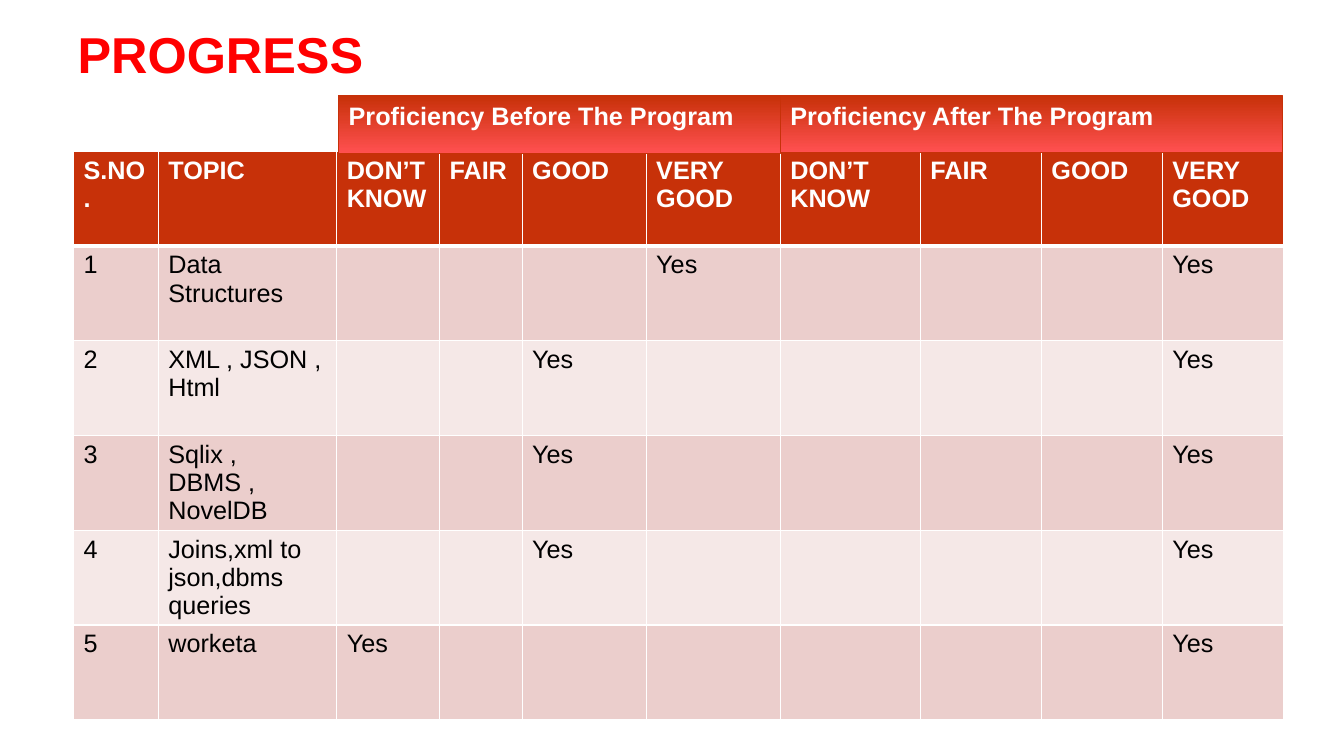
from pptx import Presentation
from pptx import util as u
from pptx.dml.color import RGBColor
from pptx.enum import shapes, text
from pptx.oxml import parse_xml
from pptx.oxml.ns import nsdecls

COLORS = {
    "title": "FF0000", "header": "C73109", "glow": "FF5050", "odd": "EBCECC",
    "even": "F5E8E7", "white": "FFFFFF", "black": "000000",
}
LEVELS = ["DON’T KNOW", "FAIR", "GOOD", "VERY GOOD"]
HEADINGS = ["S.NO.", "TOPIC"] + LEVELS * 2
COLUMN_WIDTHS = [0.84, 1.77, 1.02, 0.82, 1.23, 1.33, 1.39, 1.2, 1.2, 1.2]
ROW_HEIGHT = 0.94
# Topic, level before the program, level after the program
TOPICS = [
    ("Data Structures", "VERY GOOD", "VERY GOOD"),
    ("XML , JSON , Html", "GOOD", "VERY GOOD"),
    ("Sqlix , DBMS , NovelDB", "GOOD", "VERY GOOD"),
    ("Joins,xml to json,dbms queries", "GOOD", "VERY GOOD"),
    ("worketa", "DON’T KNOW", "VERY GOOD"),
]


def color(name):
    return RGBColor.from_string(COLORS[name])


def write(frame, words, size=18, ink="white", bold=False):
    paragraph = frame.paragraphs[0]
    paragraph.alignment = text.PP_ALIGN.LEFT
    run = paragraph.add_run()
    run.text = words
    run.font.name = "Arial"
    run.font.size = u.Pt(size)
    run.font.bold = bold
    run.font.color.rgb = color(ink)


def add_borders(cell, top=1, bottom=1):
    properties = cell._tc.get_or_add_tcPr()
    sides = [("L", 1), ("R", 1), ("T", top), ("B", bottom)]
    for position, (side, points) in enumerate(sides):
        line = parse_xml(
            f'<a:ln{side} {nsdecls("a")} w="{u.Pt(points)}"><a:solidFill>'
            f'<a:srgbClr val="{COLORS["white"]}"/></a:solidFill></a:ln{side}>')
        properties.insert(position, line)


def add_title(slide, left, top, width, height):
    title = slide.shapes.title
    title.left, title.top = u.Inches(left), u.Inches(top)
    title.width, title.height = u.Inches(width), u.Inches(height)
    title.text_frame.auto_size = text.MSO_AUTO_SIZE.NONE
    title.text_frame.vertical_anchor = text.MSO_ANCHOR.MIDDLE
    write(title.text_frame, "PROGRESS", size=36, ink="title", bold=True)


def add_progress_table(slide, left, top):
    rows = [HEADINGS]
    for number, (topic, before, after) in enumerate(TOPICS, 1):
        marks = ["Yes" if level == reached else ""
                 for reached in (before, after) for level in LEVELS]
        rows.append([str(number), topic] + marks)

    table = slide.shapes.add_table(
        len(rows), len(HEADINGS), u.Inches(left), u.Inches(top),
        u.Inches(sum(COLUMN_WIDTHS)), u.Inches(ROW_HEIGHT * len(rows))).table
    table.first_row = table.horz_banding = False
    for column, width in zip(table.columns, COLUMN_WIDTHS):
        column.width = u.Inches(width)

    for r, row in enumerate(rows):
        table.rows[r].height = u.Inches(ROW_HEIGHT)
        fill = "header" if r == 0 else "odd" if r % 2 else "even"
        for c, words in enumerate(row):
            cell = table.cell(r, c)
            cell.fill.solid()
            cell.fill.fore_color.rgb = color(fill)
            add_borders(cell, top=3 if r == 1 else 1, bottom=3 if r == 0 else 1)
            if words:
                write(cell.text_frame, words, bold=r == 0,
                      ink="white" if r == 0 else "black")


def add_group_heading(slide, words, left, top, width, height):
    bar = slide.shapes.add_shape(
        shapes.MSO_SHAPE.RECTANGLE, u.Inches(left), u.Inches(top),
        u.Inches(width), u.Inches(height))
    bar.shadow.inherit = False
    bar.fill.gradient()
    bar.fill.gradient_angle = 270
    for stop, name, position in zip(bar.fill.gradient_stops, ("header", "glow"), (0, 1)):
        stop.color.rgb = color(name)
        stop.position = position
    bar.line.color.rgb = color("header")
    bar.line.width = u.Pt(0.75)
    bar.text_frame.word_wrap = True
    bar.text_frame.vertical_anchor = text.MSO_ANCHOR.TOP
    write(bar.text_frame, words, bold=True)


def main():
    presentation = Presentation()
    presentation.slide_width = u.Inches(13.33)
    presentation.slide_height = u.Inches(7.5)
    slide = presentation.slides.add_slide(presentation.slide_layouts[5])

    # Title, table, then the two headings above the table
    add_title(slide, 0.67, 0.21, 12, 0.64)
    add_progress_table(slide, 0.73, 1.5)
    add_group_heading(slide, "Proficiency Before The Program", 3.36, 0.95, 4.38, 0.57)
    add_group_heading(slide, "Proficiency After The Program", 7.74, 0.95, 4.98, 0.56)
    presentation.save("out.pptx")


if __name__ == "__main__":
    main()
